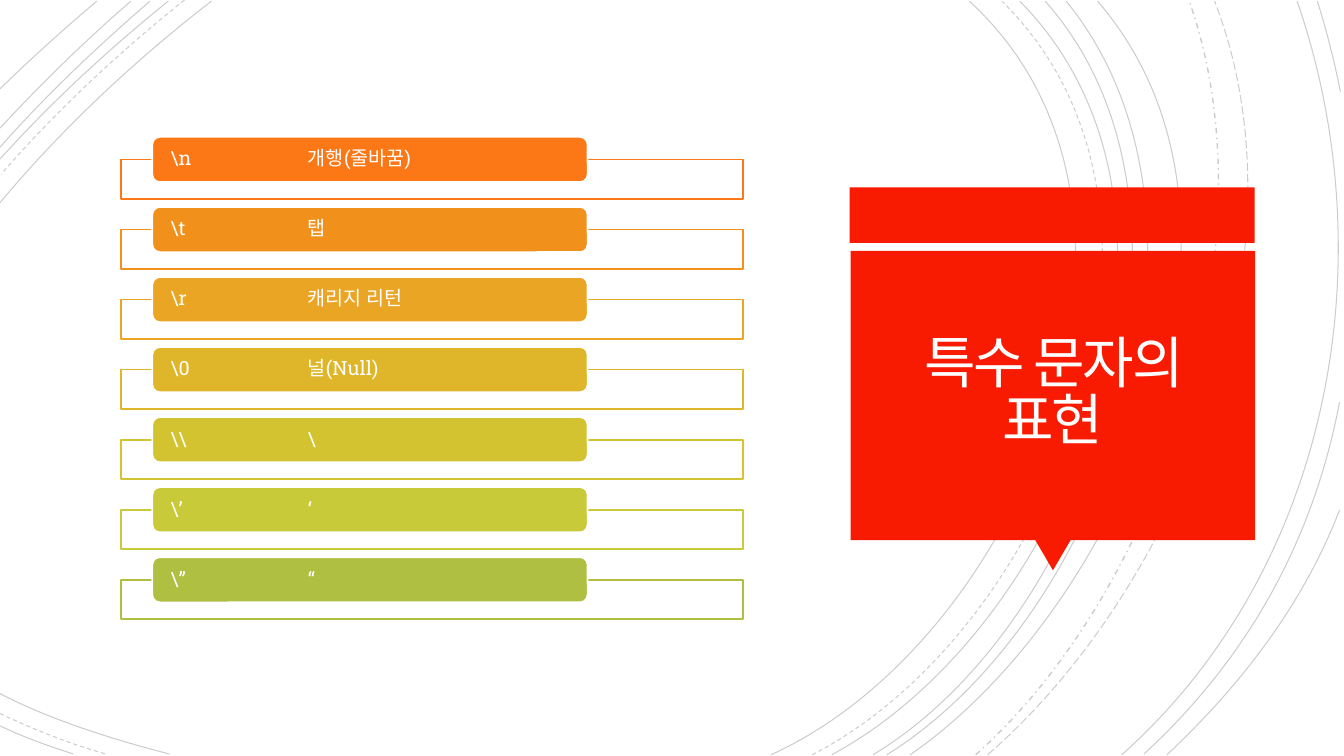
"""Build a slide that lists escape characters beside a red title callout."""
from lxml.etree import SubElement
from pptx import Presentation
from pptx.dml.color import RGBColor
from pptx.enum.dml import MSO_LINE
from pptx.enum.shapes import MSO_SHAPE
from pptx.enum.text import MSO_ANCHOR, MSO_AUTO_SIZE, PP_ALIGN
from pptx.oxml.ns import qn
from pptx.util import Cm, Pt

TITLE = "특수 문자의 표현"
ROWS = [
    ("\\n", "개행(줄바꿈)", "FC7715"),
    ("\\t", "탭", "F2901C"),
    ("\\r", "캐리지 리턴", "E9A523"),
    ("\\0", "널(Null)", "DFB62A"),
    ("\\\\", "\\", "D4C331"),
    ("\\’", "‘", "C8CA39"),
    ("\\”", "“", "AFBF41"),
]
COLORS = {"red": "F81B02", "white": "FFFFFF", "title": "FFFEFF", "arc": "000000"}
CALLOUT = [
    (MSO_SHAPE.RECTANGLE, (21.41, 4.72, 10.21, 1.4), 0),
    (MSO_SHAPE.ISOSCELES_TRIANGLE, (26.09, 13.61, 0.89, 0.76), 180),
    (MSO_SHAPE.RECTANGLE, (21.44, 6.32, 10.19, 7.29), 0),
]
ARCS = {
    MSO_LINE.SOLID: [
        ((19.43, 19.02), (25.81, 16.13), (30.18, 5.31), (24.43, 0.03)),
        ((0, 17.48), (1.32, 18.16), (2.87, 18.64), (4.27, 19)),
        ((5.33, 0.03), (3.4, 1.52), (1.57, 3.23), (0, 5.11)),
        ((20.96, 19.02), (26.95, 15.8), (31.01, 5.41), (25.7, 0.03)),
        ((0, 18.29), (0.58, 18.57), (1.22, 18.8), (1.85, 19)),
        ((4.24, 0.03), (2.74, 1.24), (1.3, 2.57), (0, 4.01)),
        ((22, 19.02), (27.61, 15.65), (31.01, 5.28), (26.34, 0.03)),
        ((3.78, 0.03), (2.46, 1.17), (1.17, 2.39), (0, 3.71)),
        ((22.35, 19.02), (27.94, 15.54), (31.32, 5.49), (26.87, 0.03)),
        ((3.3, 0.03), (2.13, 1.04), (1.04, 2.11), (0, 3.23)),
        ((22.94, 19.02), (28.27, 15.32), (32.46, 5.59), (27.66, 0.03)),
        ((2.44, 0.03), (1.6, 0.74), (0.79, 1.47), (0, 2.24)),
        ((28.27, 19.02), (33.53, 14.33), (34.95, 6.58), (32.69, 0.03)),
        ((28.83, 19), (31.45, 16.59), (33.1, 13.61), (33.76, 10.13)),
        ((33.78, 2.31), (33.63, 1.55), (33.43, 0.76), (33.2, 0.03)),
        ((29.41, 19.02), (31.27, 17.27), (32.84, 15.24), (33.76, 12.85)),
    ],
    MSO_LINE.DASH: [
        ((20.47, 19.02), (26.57, 15.88), (30.68, 5.38), (25.25, 0.03)),
        ((0, 17.98), (0.86, 18.39), (1.78, 18.75), (2.67, 19)),
        ((4.65, 0), (3, 1.32), (1.42, 2.79), (0.03, 4.39)),
    ],
    MSO_LINE.DASH_DOT: [
        ((24.59, 19.02), (29.31, 14.81), (32.13, 6.12), (29.97, 0.03)),
    ],
    MSO_LINE.LONG_DASH: [
        ((24.89, 19.02), (29.79, 14.76), (33.07, 6.38), (30.61, 0.03)),
    ],
}
TOP, LAST = 3.45, 14.04
PITCH = (LAST - TOP) / (len(ROWS) - 1)


def color(value):
    return RGBColor.from_string(value)


def fade(part, share):
    tone = next(part.iter(qn("a:srgbClr")))
    SubElement(tone, qn("a:alpha"), val=str(share * 1000))


def bend(arc):
    track = next(arc.element.iter(qn("a:path")))
    lines = track.findall(qn("a:lnTo"))
    cubic = SubElement(track, qn("a:cubicBezTo"))
    for line in lines:
        cubic.append(line[0])
        track.remove(line)


def add_arc(shapes, ends, dash):
    points = [(Cm(x), Cm(y)) for x, y in ends]
    pen = shapes.build_freeform(*points[0], scale=1.0)
    pen.add_line_segments(points[1:], close=False)
    arc = pen.convert_to_shape()
    bend(arc)
    arc.shadow.inherit = False
    arc.fill.background()
    arc.line.color.rgb = color(COLORS["arc"])
    arc.line.width = Pt(1 if dash == MSO_LINE.DASH_DOT else 0.75)
    arc.line.dash_style = dash
    fade(arc.element.spPr, 20)


def add_block(shapes, kind, box, fill, edge=None):
    block = shapes.add_shape(kind, *map(Cm, box))
    block.shadow.inherit = False
    block.fill.solid()
    block.fill.fore_color.rgb = color(fill)
    if edge:
        block.line.color.rgb = color(edge)
        block.line.width = Pt(1.25)
    else:
        block.line.fill.background()
    return block


def add_text(frame, text, font, size, tone, align, space):
    frame.word_wrap = True
    frame.auto_size = MSO_AUTO_SIZE.NONE
    frame.vertical_anchor = MSO_ANCHOR.MIDDLE
    para = frame.paragraphs[0]
    para.alignment = align
    para.line_spacing = space
    run = para.add_run()
    run.text = text
    run.font.name = font
    run.font.size = Pt(size)
    run.font.color.rgb = color(tone)
    return para, run


def add_row(shapes, index, code, sense, tone):
    top = TOP + index * PITCH
    panel = add_block(shapes, MSO_SHAPE.RECTANGLE,
                      (3.05, top + 0.57, 15.67, 0.99), COLORS["white"], tone)
    fade(panel.element.spPr, 90)
    add_block(shapes, MSO_SHAPE.ROUNDED_RECTANGLE,
              (3.84, top, 10.97, 1.14), tone, COLORS["white"])
    label = shapes.add_textbox(*map(Cm, (3.89, top + 0.05, 10.85, 1.04)))
    frame = label.text_frame
    frame.margin_left = frame.margin_right = Cm(0.41)
    frame.margin_top = frame.margin_bottom = 0
    para, run = add_text(frame, f"{code}\t\t{sense}", "Roboto Slab", 14,
                         COLORS["white"], PP_ALIGN.LEFT, 0.9)
    para._p.get_or_add_pPr().set("defTabSz", str(Cm(1.73)))


def add_title(shapes):
    title = shapes.title
    shapes.element.append(title.element)
    title.left, title.top, title.width, title.height = map(
        Cm, (21.67, 6.53, 9.73, 6.83))
    frame = title.text_frame
    frame.margin_left = frame.margin_right = Cm(0.64)
    frame.margin_top = frame.margin_bottom = Cm(0.64)
    para, run = add_text(frame, TITLE, "Calibri", 40, COLORS["title"],
                         PP_ALIGN.CENTER, 0.85)
    run.font._element.set("spc", "-150")


def main():
    deck = Presentation()
    deck.slide_width, deck.slide_height = Cm(33.87), Cm(19.05)
    shapes = deck.slides.add_slide(deck.slide_layouts[5]).shapes
    for dash, arcs in ARCS.items():
        for ends in arcs:
            add_arc(shapes, ends, dash)
    for kind, box, turn in CALLOUT:
        add_block(shapes, kind, box, COLORS["red"]).rotation = turn
    add_title(shapes)
    for index, row in enumerate(ROWS):
        add_row(shapes, index, *row)
    deck.save("out.pptx")


if __name__ == "__main__":
    main()
